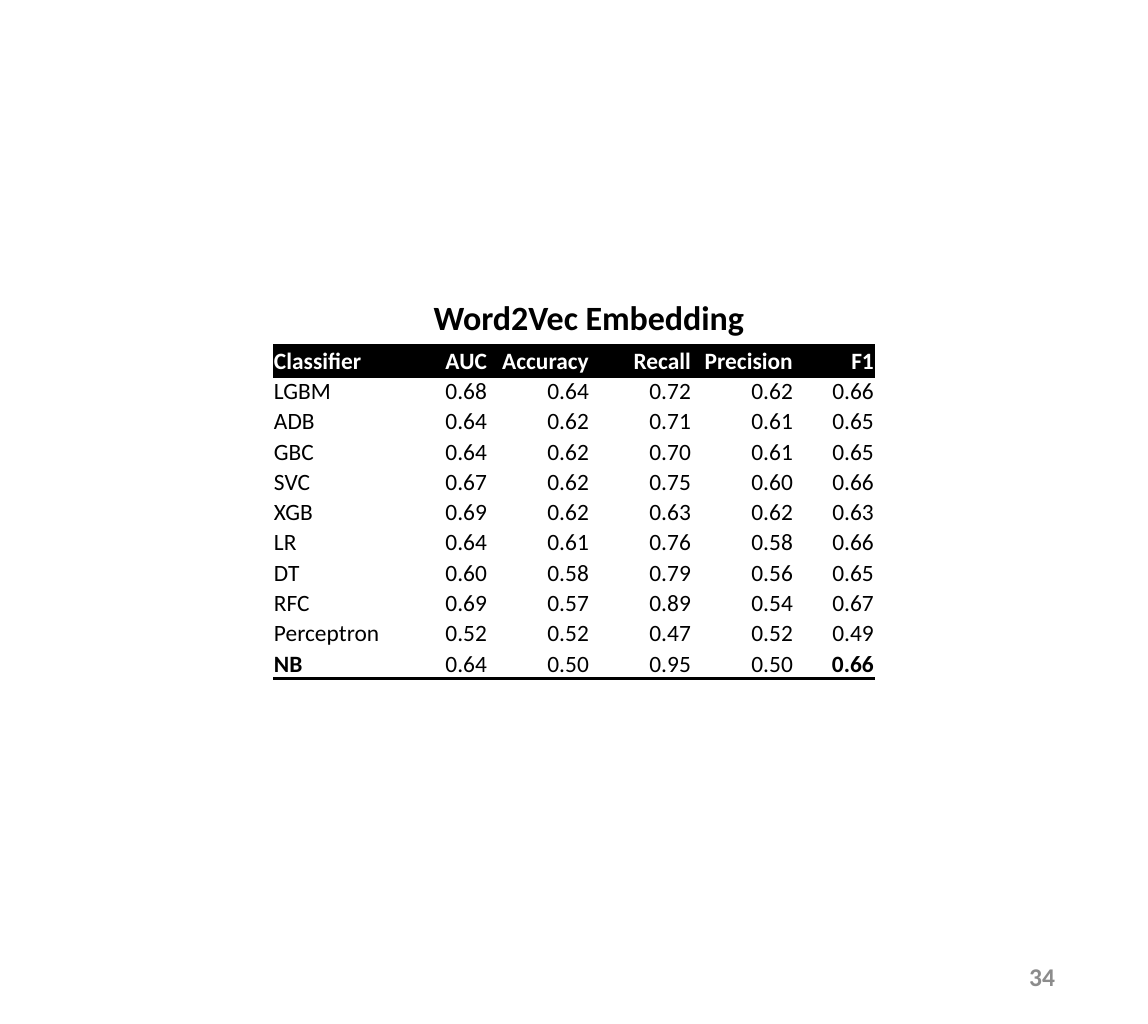
from dataclasses import dataclass

from lxml.etree import SubElement
from pptx import Presentation
from pptx.dml.color import RGBColor
from pptx.enum.text import MSO_ANCHOR as Anchor, PP_ALIGN as Align
from pptx.oxml.ns import qn
from pptx.util import Emu, Pt

EMU_PER_PX = 5973
FONT = "Calibri"
BLACK, WHITE, GREY = "000000", "FFFFFF", "8C8C8C"
NO_STYLE_NO_GRID = "{2D5ABB26-0587-4C30-8999-92F81FD0307C}"

TABLE_LEFT, TABLE_TOP, TABLE_HEIGHT = 273, 346, 333
COLUMN_WIDTHS = [113, 102, 102, 102, 102, 81]
HEADINGS = ["Classifier", "AUC", "Accuracy", "Recall", "Precision", "F1"]
BOLD_VALUES = {("NB", "Classifier"), ("NB", "F1")}


@dataclass
class Label:
    text: str
    left: int
    top: int
    width: int
    height: int
    size: int
    color: str
    align: Align
    anchor: Anchor


@dataclass
class Score:
    classifier: str
    values: tuple[float, ...]

    def texts(self) -> list[str]:
        return [self.classifier] + [f"{value:.2f}" for value in self.values]


LABELS = [
    Label("Word2Vec Embedding", 302, 289, 574, 57, 16, BLACK, Align.CENTER, Anchor.TOP),
    Label("34", 811, 949, 259, 55, 12, GREY, Align.RIGHT, Anchor.MIDDLE),
]

SCORES = [
    Score("LGBM", (0.68, 0.64, 0.72, 0.62, 0.66)),
    Score("ADB", (0.64, 0.62, 0.71, 0.61, 0.65)),
    Score("GBC", (0.64, 0.62, 0.70, 0.61, 0.65)),
    Score("SVC", (0.67, 0.62, 0.75, 0.60, 0.66)),
    Score("XGB", (0.69, 0.62, 0.63, 0.62, 0.63)),
    Score("LR", (0.64, 0.61, 0.76, 0.58, 0.66)),
    Score("DT", (0.60, 0.58, 0.79, 0.56, 0.65)),
    Score("RFC", (0.69, 0.57, 0.89, 0.54, 0.67)),
    Score("Perceptron", (0.52, 0.52, 0.47, 0.52, 0.49)),
    Score("NB", (0.64, 0.50, 0.95, 0.50, 0.66)),
]


def px(length: int) -> Emu:
    return Emu(length * EMU_PER_PX)


def rgb(color: str) -> RGBColor:
    return RGBColor.from_string(color)


def write(text_frame, text: str, size: int, color: str, bold: bool, align: Align) -> None:
    text_frame.text = text
    paragraph = text_frame.paragraphs[0]
    paragraph.alignment = align
    font = paragraph.runs[0].font
    font.name, font.size, font.bold = FONT, Pt(size), bold
    font.color.rgb = rgb(color)


def add_label(slide, label: Label) -> None:
    box = slide.shapes.add_textbox(
        px(label.left), px(label.top), px(label.width), px(label.height))
    box.text_frame.word_wrap = True
    box.text_frame.vertical_anchor = label.anchor
    write(box.text_frame, label.text, label.size, label.color, True, label.align)


def add_border(cell, side: str) -> None:
    properties = cell._tc.get_or_add_tcPr()
    line = SubElement(properties, qn(f"a:{side}"), w=str(Pt(2)))
    fill = SubElement(line, qn("a:solidFill"))
    SubElement(fill, qn("a:srgbClr"), val=BLACK)


def add_score_table(slide) -> None:
    rows = [HEADINGS] + [score.texts() for score in SCORES]
    count = len(rows)
    frame = slide.shapes.add_table(
        count, len(HEADINGS), px(TABLE_LEFT), px(TABLE_TOP),
        px(sum(COLUMN_WIDTHS)), px(TABLE_HEIGHT))
    table = frame.table
    table.first_row = table.horz_banding = False
    table._tbl.tblPr.find(qn("a:tableStyleId")).text = NO_STYLE_NO_GRID
    for column, width in zip(table.columns, COLUMN_WIDTHS):
        column.width = px(width)

    for i, texts in enumerate(rows):
        # Row edges are rounded so the rows fill the table height exactly
        table.rows[i].height = px(
            TABLE_HEIGHT * (i + 1) // count - TABLE_HEIGHT * i // count)
        is_header = i == 0
        for j, text in enumerate(texts):
            cell = table.cell(i, j)
            cell.margin_left = cell.margin_right = cell.margin_top = px(1)
            cell.margin_bottom = 0
            cell.vertical_anchor = Anchor.BOTTOM
            # Rules above and below the header and under the last row
            if is_header:
                add_border(cell, "lnT")
            if is_header or i == count - 1:
                add_border(cell, "lnB")
            cell.fill.solid()
            cell.fill.fore_color.rgb = rgb(BLACK if is_header else WHITE)
            write(cell.text_frame, text, 11, WHITE if is_header else BLACK,
                  is_header or (texts[0], HEADINGS[j]) in BOLD_VALUES,
                  Align.LEFT if j == 0 else Align.RIGHT)


def main() -> None:
    presentation = Presentation()
    presentation.slide_width, presentation.slide_height = px(1148), px(1024)
    slide = presentation.slides.add_slide(presentation.slide_layouts[6])

    # Title and page number
    for label in LABELS:
        add_label(slide, label)

    # Classifier scores
    add_score_table(slide)

    presentation.save("out.pptx")


if __name__ == "__main__":
    main()
